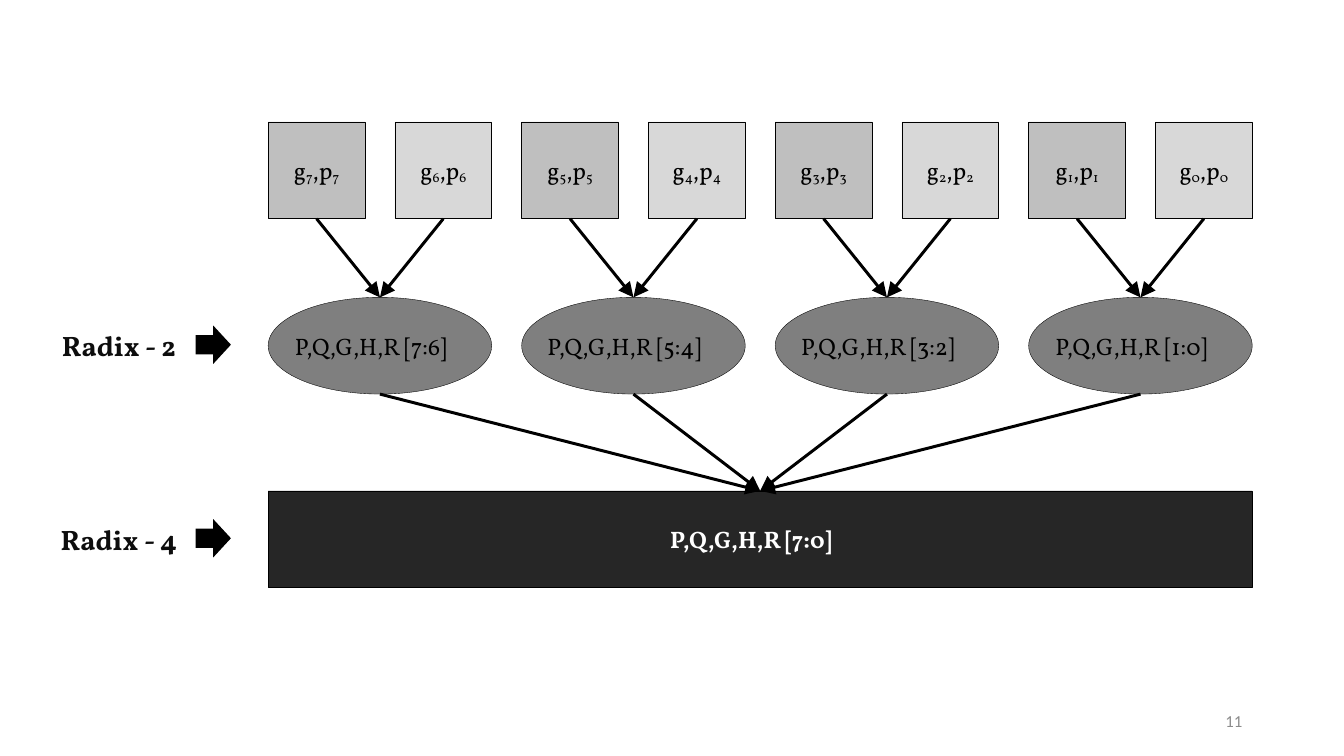
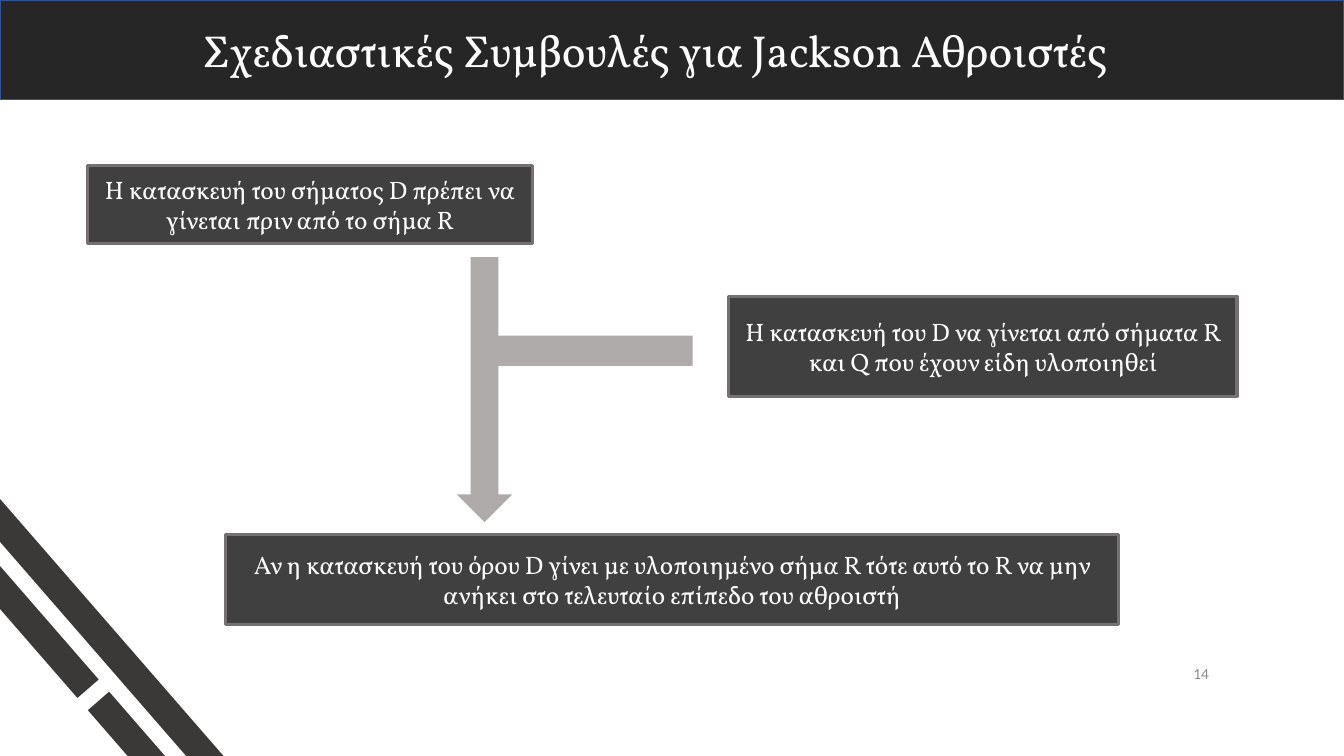
from lxml.etree import SubElement
from pptx import Presentation
from pptx.dml.color import RGBColor
from pptx.enum.shapes import MSO_CONNECTOR, MSO_SHAPE
from pptx.enum.text import MSO_ANCHOR, PP_ALIGN
from pptx.oxml.ns import qn
from pptx.util import Inches, Pt

BLACK = RGBColor(0x00, 0x00, 0x00)
WHITE = RGBColor(0xFF, 0xFF, 0xFF)
INK = RGBColor(0x0D, 0x0D, 0x0D)
DARK = RGBColor(0x26, 0x26, 0x26)
PANEL = RGBColor(0x40, 0x40, 0x40)
PANEL_EDGE = RGBColor(0x76, 0x71, 0x71)
STRIPE = RGBColor(0x3B, 0x38, 0x38)
ARROW = RGBColor(0xAF, 0xAB, 0xAB)
MID_GREY = RGBColor(0x7F, 0x7F, 0x7F)
ODD_GREY = RGBColor(0xBF, 0xBF, 0xBF)
EVEN_GREY = RGBColor(0xD8, 0xD8, 0xD8)
NUMBER_GREY = RGBColor(0x8C, 0x8C, 0x8C)
BAND_EDGE = RGBColor(0x32, 0x54, 0x91)
FONT, NUMBER_FONT = "Vollkorn", "Calibri"

SLIDE_WIDTH, SLIDE_HEIGHT = 13.33, 7.5

# Prefix tree
BITS = range(7, -1, -1)
TREE_LEFT, TREE_WIDTH, NODE_SIZE = 2.66, 9.76, 0.96
BIT_TOP, PAIR_TOP, RESULT_TOP = 1.21, 2.95, 4.87
LEVELS = [("Radix - 2", PAIR_TOP), ("Radix - 4", RESULT_TOP)]
LABEL_SHIFT = 0.18

# Design advice
TITLE = "Σχεδιαστικές Συμβουλές για Jackson Αθροιστές"
ADVICE = [
    ("Η κατασκευή του σήματος D πρέπει να γίνεται πριν από το σήμα R",
     (0.87, 1.64, 4.41, 0.78)),
    ("Η κατασκευή του D να γίνεται από σήματα R και Q που έχουν είδη υλοποιηθεί",
     (7.23, 2.94, 5.04, 0.99)),
    ("Αν η κατασκευή του όρου D γίνει με υλοποιημένο σήμα R τότε αυτό το R "
     "να μην ανήκει στο τελευταίο επίπεδο του αθροιστή",
     (2.24, 5.3, 8.85, 0.9)),
]
STRIPES = [(-0.33, 3.99, 3.24), (0.97, 4.25, 4.38), (1.22, 6.81, 1.17)]
STRIPE_WIDTH, STRIPE_ANGLE = 0.28, 139


def add_box(page, kind, area, fill, edge=None, edge_width=0.25):
    box = page.shapes.add_shape(kind, *map(Inches, area))
    box.shadow.inherit = False
    box.fill.solid()
    box.fill.fore_color.rgb = fill
    if edge is None:
        box.line.fill.background()
    else:
        box.line.color.rgb = edge
        box.line.width = Pt(edge_width)
    return box


def write(box, text, size, color, align=PP_ALIGN.CENTER, bold=False, font=FONT):
    frame = box.text_frame
    frame.word_wrap = True
    frame.vertical_anchor = MSO_ANCHOR.MIDDLE
    para = frame.paragraphs[0]
    para.alignment = align
    para.font.name = font
    para.font.size = Pt(size)
    para.font.bold = bold
    para.font.color.rgb = color
    if text:
        para.add_run().text = text
    return para


def add_text(page, area, *args, **style):
    return write(page.shapes.add_textbox(*map(Inches, area)), *args, **style)


def add_page_number(page, number, right, middle, size):
    width, height = 1.2, 0.4
    add_text(page, (right - width, middle - height / 2, width, height), str(number),
             size, NUMBER_GREY, align=PP_ALIGN.RIGHT, font=NUMBER_FONT)


def write_on_one_line(box, text, color, bold=False):
    """Label a node slightly left of its centre, without wrapping."""
    write(box, text, 17, color, bold=bold)
    box.text_frame.word_wrap = False
    box.text_frame.margin_left = 0
    box.text_frame.margin_right = Inches(LABEL_SHIFT)


def write_bit(box, bit):
    """Label a bit node with g and p, each with the bit as a subscript."""
    para = write(box, "", 17, BLACK)
    box.text_frame.word_wrap = False
    for letter in ("g", ",p"):
        para.add_run().text = letter
        span = para.add_run()
        span.text = str(bit)
        span.font._element.set("baseline", "-13000")


def link(page, source, target):
    """Draw an arrow from the bottom of the source to the top of the target."""
    arrow = page.shapes.add_connector(
        MSO_CONNECTOR.STRAIGHT,
        source.left + source.width // 2, source.top + source.height,
        target.left + target.width // 2, target.top)
    arrow.line.color.rgb = BLACK
    arrow.line.width = Pt(2.13)
    SubElement(arrow.line._get_or_add_ln(), qn("a:tailEnd"),
               type="triangle", w="lg", len="lg")
    SubElement(arrow._element.spPr, qn("a:effectLst"))


def build_tree(page):
    pitch = (TREE_WIDTH - NODE_SIZE) / (len(BITS) - 1)
    bit_nodes, pair_nodes = [], []
    for column, bit in enumerate(BITS):
        left = TREE_LEFT + column * pitch
        node = add_box(page, MSO_SHAPE.RECTANGLE, (left, BIT_TOP, NODE_SIZE, NODE_SIZE),
                       ODD_GREY if bit % 2 else EVEN_GREY, BLACK)
        write_bit(node, bit)
        bit_nodes.append(node)
        if bit % 2:
            pair = add_box(page, MSO_SHAPE.OVAL,
                           (left, PAIR_TOP, pitch + NODE_SIZE, NODE_SIZE), MID_GREY, BLACK)
            write_on_one_line(pair, f"P,Q,G,H,R [{bit}:{bit - 1}]", BLACK)
            pair_nodes.append(pair)

    result = add_box(page, MSO_SHAPE.RECTANGLE,
                     (TREE_LEFT, RESULT_TOP, TREE_WIDTH, NODE_SIZE), DARK, BLACK)
    write_on_one_line(result, "P,Q,G,H,R [7:0]", WHITE, bold=True)

    for column, node in enumerate(bit_nodes):
        link(page, node, pair_nodes[column // 2])
    for pair in pair_nodes:
        link(page, pair, result)

    for label, top in LEVELS:
        add_text(page, (0.33, top, 1.7, NODE_SIZE), label, 20, INK, bold=True)
        add_box(page, MSO_SHAPE.RIGHT_ARROW, (1.94, top + 0.28, 0.35, 0.38), BLACK)
    add_page_number(page, 11, 12.42, 7.15, 12)


def build_advice(page):
    add_box(page, MSO_SHAPE.RECTANGLE, (0, 0, SLIDE_WIDTH, 0.99), DARK, BAND_EDGE, 1)
    title = add_text(page, (1.91, 0.17, 9.52, 0.71), TITLE, 32, WHITE, align=PP_ALIGN.LEFT)
    title.line_spacing = 0.9
    title.space_after = Pt(6)
    add_page_number(page, 14, 12.09, 6.68, 11)

    for left, top, length in STRIPES:
        stripe = add_box(page, MSO_SHAPE.RECTANGLE, (left, top, STRIPE_WIDTH, length), STRIPE)
        stripe.rotation = STRIPE_ANGLE
    for text, area in ADVICE:
        panel = add_box(page, MSO_SHAPE.RECTANGLE, area, PANEL, PANEL_EDGE, 2.25)
        write(panel, text, 18, WHITE)
    add_box(page, MSO_SHAPE.DOWN_ARROW, (4.53, 2.55, 0.55, 2.63), ARROW)
    add_box(page, MSO_SHAPE.RECTANGLE, (4.73, 3.33, 2.14, 0.3), ARROW)


def main():
    deck = Presentation()
    deck.slide_width, deck.slide_height = Inches(SLIDE_WIDTH), Inches(SLIDE_HEIGHT)
    for build in (build_tree, build_advice):
        build(deck.slides.add_slide(deck.slide_layouts[6]))
    deck.save("out.pptx")


if __name__ == "__main__":
    main()
